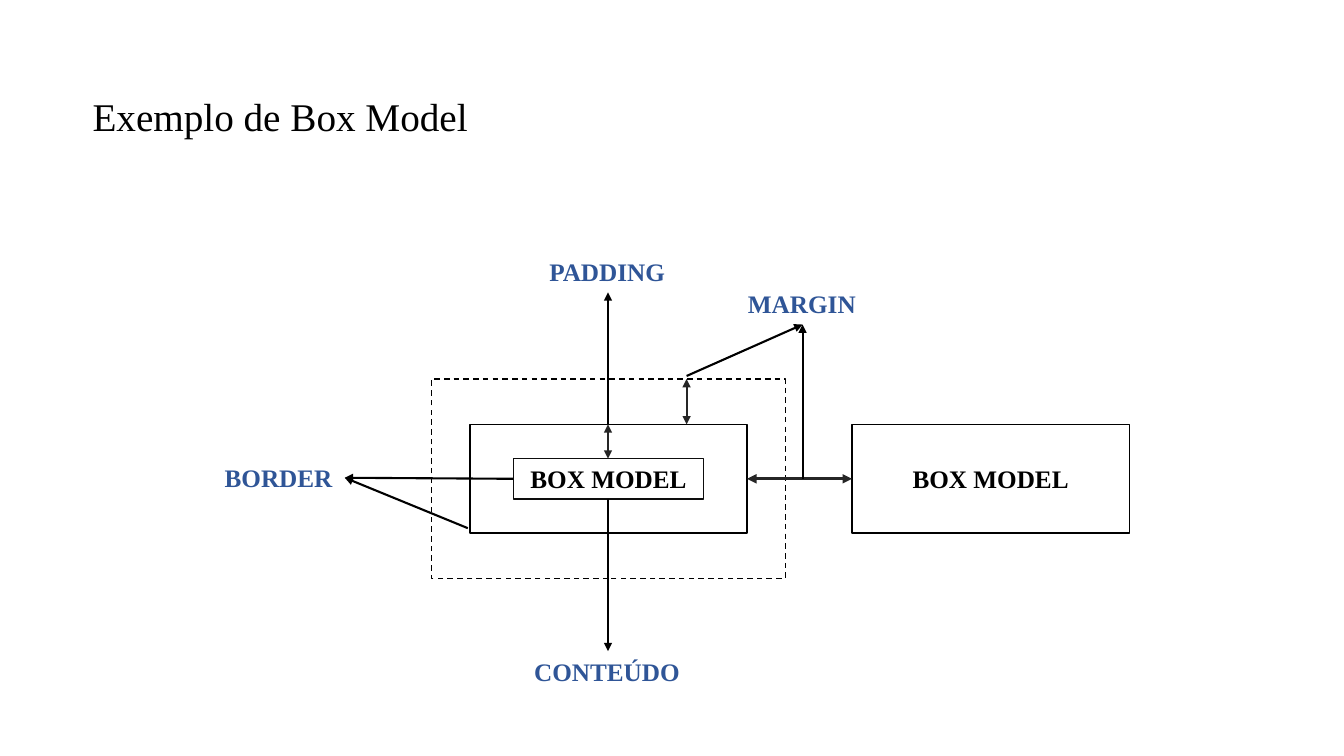
from pptx import Presentation
from pptx.dml.color import RGBColor
from pptx.enum.dml import MSO_LINE
from pptx.enum.shapes import MSO_CONNECTOR, MSO_SHAPE
from pptx.enum.text import MSO_ANCHOR, PP_ALIGN
from pptx.oxml.ns import qn
from pptx.util import Pt
from lxml.etree import SubElement

PX = 9144
FONT = "Times New Roman"
COLORS = {"text": "000000", "label": "2F5597", "content": "0D0D0D", "gap": "262626"}


def color(name):
    return RGBColor.from_string(COLORS[name])


def set_attrs(obj, values):
    for name, value in values.items():
        setattr(obj, name, value)


def write(sp, text, size, ink, bold=False, align=PP_ALIGN.CENTER, wrap=True, spacing=None):
    tf = sp.text_frame
    set_attrs(tf, {"word_wrap": wrap, "vertical_anchor": MSO_ANCHOR.MIDDLE})
    p = tf.paragraphs[0]
    set_attrs(p, {"alignment": align, "line_spacing": spacing})
    r = p.add_run()
    r.text = text
    set_attrs(r.font, {"name": FONT, "size": Pt(size), "bold": bold})
    r.font.color.rgb = color(ink)


def add_text(slide, x, y, w, h, text, **values):
    sp = slide.shapes.add_textbox(x * PX, y * PX, w * PX, h * PX)
    write(sp, text, **values)


def add_box(slide, x, y, w, h, ink="text", text=None, dash=None):
    sp = slide.shapes.add_shape(MSO_SHAPE.RECTANGLE, x * PX, y * PX, w * PX, h * PX)
    sp.shadow.inherit = False
    sp.fill.background()
    sp.line.color.rgb = color(ink)
    set_attrs(sp.line, {"width": Pt(1), "dash_style": dash})
    if text:
        write(sp, text, size=18, ink="text", bold=True)


def add_arrow(slide, x1, y1, x2, y2, ink="text", width=1.5, ends=("tailEnd",)):
    cn = slide.shapes.add_connector(
        MSO_CONNECTOR.STRAIGHT, x1 * PX, y1 * PX, x2 * PX, y2 * PX)
    cn.line.color.rgb = color(ink)
    cn.line.width = Pt(width)
    ln = cn.line._get_or_add_ln()
    for end in ends:
        SubElement(ln, qn("a:" + end), type="triangle")
    SubElement(cn._element.spPr, qn("a:effectLst"))


def add_title(slide, x, y, w, h):
    add_text(slide, x, y, w, h, "Exemplo de Box Model", size=28, ink="text",
             align=PP_ALIGN.LEFT, spacing=0.9)


def add_diagram(slide, x, y):
    w, h, gap = 275, 108, 104
    left, top = x + 253, y + 172
    right, bottom = left + w, top + h
    cx, cy = left + w // 2, top + h // 2
    pad_x, pad_y = 43, 34
    margin_x, margin_y = 38, 45
    content_top, content_bottom = top + pad_y, bottom - pad_y
    margin_top = top - margin_y
    border_tip = (x + 129, cy - 1)
    margin_tip = (x + 583, y + 73)
    gap_x = left + 215

    add_box(slide, left + pad_x, content_top, w - 2 * pad_x, h - 2 * pad_y,
            ink="content", text="BOX MODEL")
    add_box(slide, left, top, w, h)
    add_box(slide, right + gap, top, w, h, text="BOX MODEL")
    add_box(slide, left - margin_x, margin_top, w + 2 * margin_x, h + 2 * margin_y,
            dash=MSO_LINE.DASH)

    for x1, y1, x2, y2, width in (
        (cx, top, cx, content_top, 1.5),
        (right, cy, right + gap, cy, 2.25),
        (gap_x, margin_top, gap_x, top, 1.5),
    ):
        add_arrow(slide, x1, y1, x2, y2, "gap", width, ("headEnd", "tailEnd"))

    for start, tip in (
        ((cx, content_bottom), (cx, y + 397)),
        ((cx, top), (cx, y + 41)),
        ((left + pad_x, cy), border_tip),
        ((left - 2, bottom - 5), border_tip),
        ((gap_x, margin_top - 3), margin_tip),
        ((margin_tip[0], cy), margin_tip),
    ):
        add_arrow(slide, *start, *tip)

    for text, mid, label_top, label_w in (
        ("PADDING", cx, y, 136),
        ("MARGIN", margin_tip[0], y + 32, 128),
        ("BORDER", x + 64, y + 205, 128),
        ("CONTEÚDO", cx, y + 397, 166),
    ):
        add_text(slide, mid - label_w // 2, label_top, label_w, 40, text,
                 size=18, ink="label", bold=True, align=PP_ALIGN.LEFT, wrap=False)


def main():
    prs = Presentation()
    set_attrs(prs, {"slide_width": 1333 * PX, "slide_height": 750 * PX})
    slide = prs.slides.add_slide(prs.slide_layouts[6])
    add_title(slide, 82, 93, 1029, 49)
    add_diagram(slide, 213, 249)
    prs.save("out.pptx")


if __name__ == "__main__":
    main()
